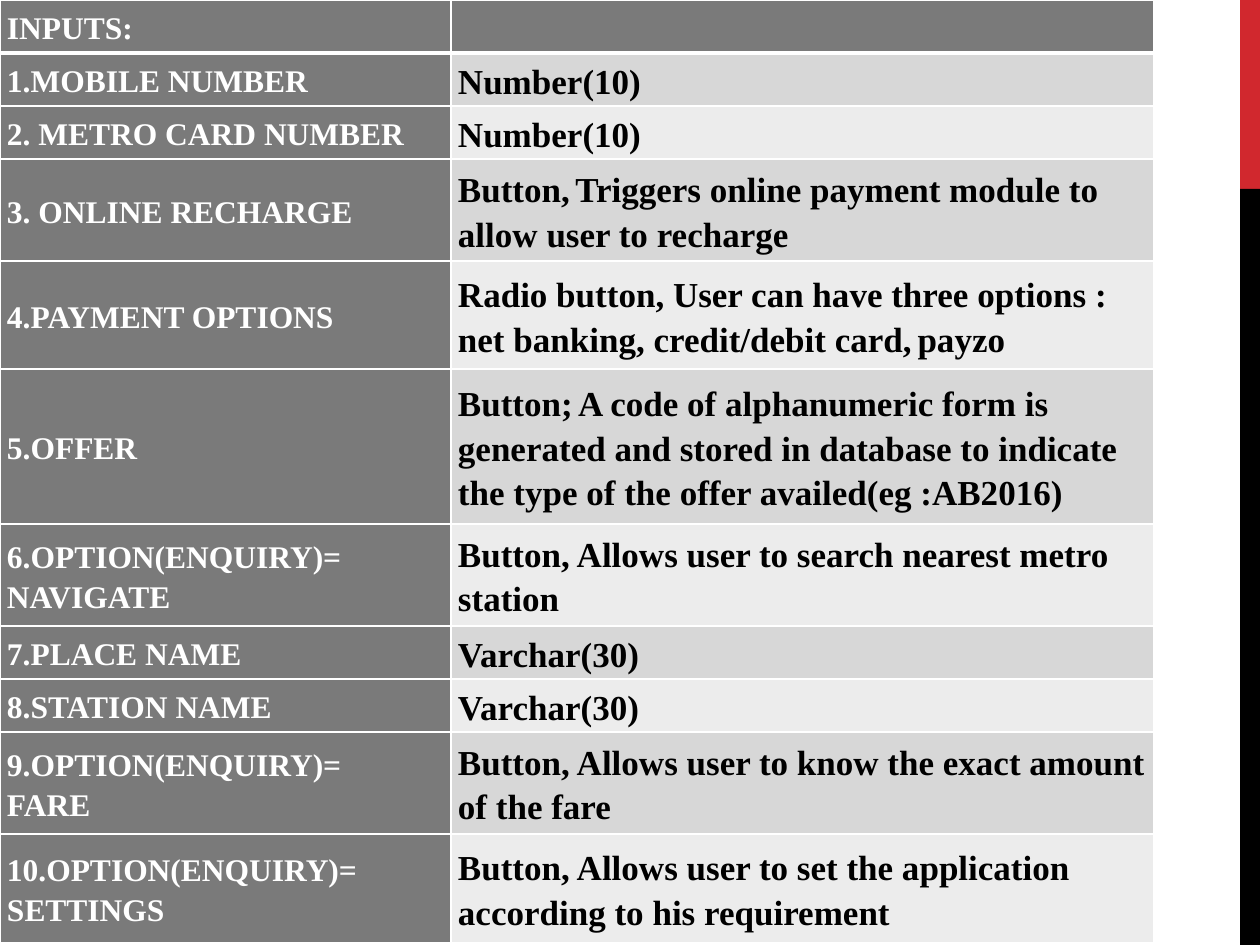
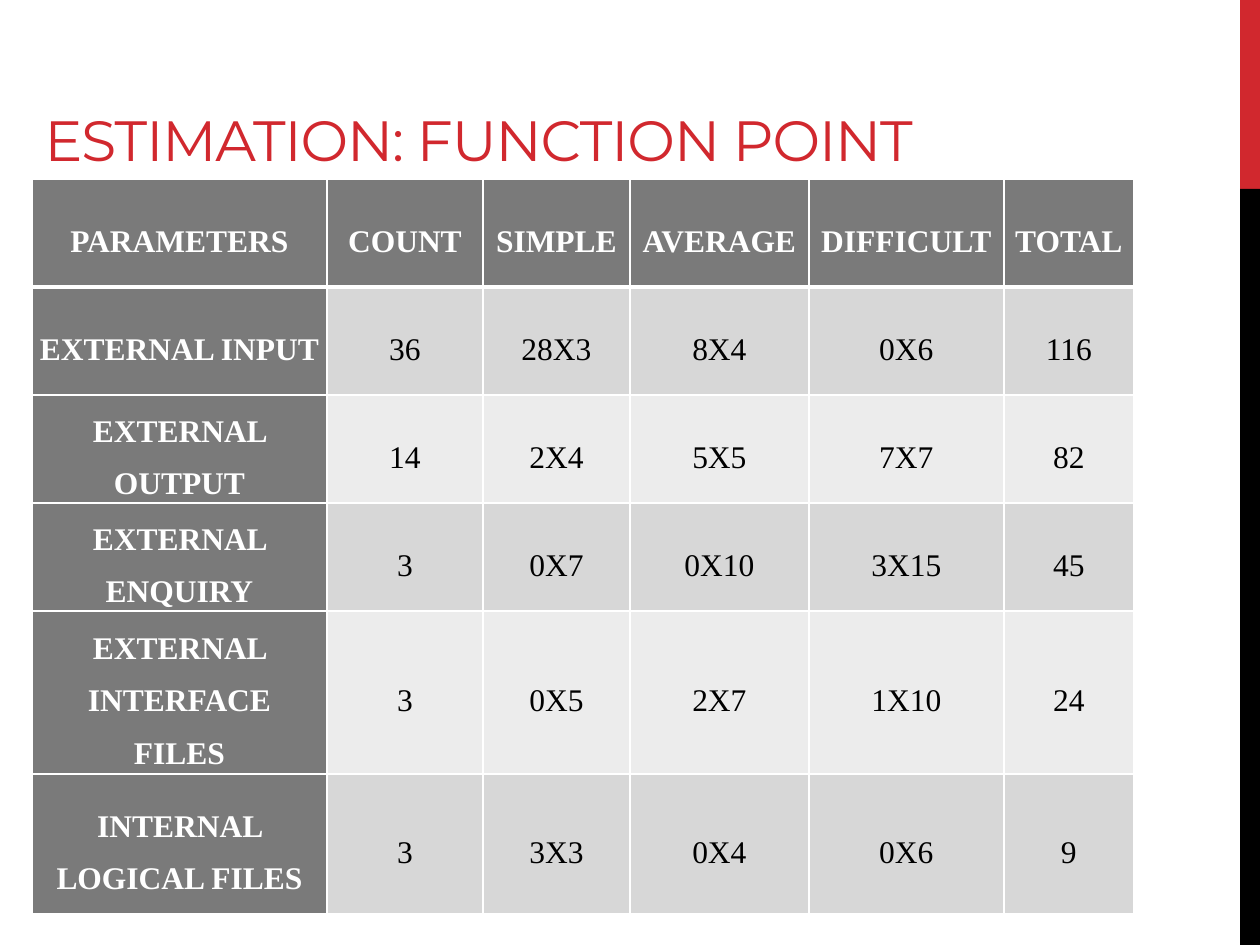
from dataclasses import dataclass

import lxml.etree
import pptx
import pptx.dml.color
import pptx.enum.shapes
import pptx.enum.text
import pptx.oxml.ns
import pptx.util

PX = 914400 / 126
SLIDE_WIDTH, SLIDE_HEIGHT = 1260, 945
RED, BLACK, WHITE = "D1282E", "000000", "FFFFFF"
HEADING_GREY, DARK_STRIPE, LIGHT_STRIPE = "7A7A7A", "D7D7D7", "ECECEC"
SERIF, TITLE_FONT = "Times New Roman", "Montserrat"
NARROW_SPACE = "~"
NARROW_SIZE = 12
CELL_INSET = 7
THIN, THICK = 1, 3
LEFT = pptx.enum.text.PP_ALIGN.LEFT
CENTER = pptx.enum.text.PP_ALIGN.CENTER


@dataclass(frozen=True)
class Band:
    top: int
    height: int
    color: str


@dataclass(frozen=True)
class Grid:
    left: int
    top: int
    columns: list[int]
    heights: list[int]
    rows: list[tuple[str, ...]]
    body_size: float
    body_bold: bool
    align: pptx.enum.text.PP_ALIGN
    line_spacing: float
    space_after: float


SIDE_BANDS = [Band(0, 189, RED), Band(189, 756, BLACK)]
BAND_LEFT = 1240

INPUTS = Grid(
    left=0,
    top=0,
    columns=[451, 703],
    heights=[53, 53, 53, 102, 108, 155, 102, 53, 53, 102, 109],
    rows=[
        ("INPUTS:", ""),
        ("1.MOBILE NUMBER", "Number(10)"),
        ("2. METRO CARD NUMBER", "Number(10)"),
        ("3. ONLINE RECHARGE",
         "Button,~Triggers online payment module to allow user to recharge"),
        ("4.PAYMENT OPTIONS",
         "Radio button, User can have three options :\n"
         "net banking, credit/debit card,~payzo"),
        ("5.OFFER",
         "Button;~A code of alphanumeric form is generated and stored in "
         "database to indicate the type of the offer availed(eg :AB2016)"),
        ("6.OPTION(ENQUIRY)=\nNAVIGATE",
         "Button, Allows user to search nearest metro station"),
        ("7.PLACE NAME", "Varchar(30)"),
        ("8.STATION NAME", "Varchar(30)"),
        ("9.OPTION(ENQUIRY)=\nFARE",
         "Button, Allows user to know the exact amount of the fare"),
        ("10.OPTION(ENQUIRY)=\nSETTINGS",
         "Button, Allows user to set the application according to his requirement"),
    ],
    body_size=20,
    body_bold=True,
    align=LEFT,
    line_spacing=1.15,
    space_after=0,
)

FUNCTION_POINTS = Grid(
    left=32,
    top=179,
    columns=[295, 156, 147, 179, 195, 130],
    heights=[108, 108, 108, 108, 163, 140],
    rows=[
        ("PARAMETERS", "COUNT", "SIMPLE", "AVERAGE", "DIFFICULT", "TOTAL"),
        ("EXTERNAL INPUT", "36", "28X3", "8X4", "0X6", "116"),
        ("EXTERNAL OUTPUT", "14", "2X4", "5X5", "7X7", "82"),
        ("EXTERNAL ENQUIRY", "3", "0X7", "0X10", "3X15", "45"),
        ("EXTERNAL INTERFACE FILES", "3", "0X5", "2X7", "1X10", "24"),
        ("INTERNAL LOGICAL FILES", "3", "3X3", "0X4", "0X6", "9"),
    ],
    body_size=18,
    body_bold=False,
    align=CENTER,
    line_spacing=1.5,
    space_after=6,
)


def px(length: int) -> pptx.util.Emu:
    return pptx.util.Emu(round(length * PX))


def rgb(color: str) -> pptx.dml.color.RGBColor:
    return pptx.dml.color.RGBColor.from_string(color)


def write_text(frame, text: str, *, size: float, color: str, font: str = SERIF,
               bold: bool = False, align=LEFT, line_spacing: float = 1.0,
               space_after: float = 0, tracking: int = 0) -> None:
    for index, line in enumerate(text.split("\n")):
        paragraph = frame.add_paragraph() if index else frame.paragraphs[0]
        paragraph.alignment = align
        paragraph.line_spacing = line_spacing
        paragraph.space_before = pptx.util.Pt(0)
        paragraph.space_after = pptx.util.Pt(space_after)
        before, gap, after = line.partition(NARROW_SPACE)
        for wording, points in ((before, size), (gap and " ", NARROW_SIZE), (after, size)):
            if not wording:
                continue
            run = paragraph.add_run()
            run.text = wording
            run.font.name = font
            run.font.size = pptx.util.Pt(points)
            run.font.bold = bold
            run.font.color.rgb = rgb(color)
            if tracking:
                run.font._element.set("spc", str(tracking))


def add_border(cell, side: str, width: float) -> None:
    qn = pptx.oxml.ns.qn
    properties = cell._tc.get_or_add_tcPr()
    line = lxml.etree.SubElement(properties, qn(f"a:ln{side}"), w=str(pptx.util.Pt(width)))
    fill = lxml.etree.SubElement(line, qn("a:solidFill"))
    lxml.etree.SubElement(fill, qn("a:srgbClr"), val=WHITE)


def format_cell(cell, grid: Grid, row: int, column: int) -> None:
    heading = row == 0 or column == 0
    stripe = DARK_STRIPE if row % 2 else LIGHT_STRIPE
    for side in "LRTB":
        under_header = (row, side) in ((0, "B"), (1, "T"))
        add_border(cell, side, THICK if under_header else THIN)
    cell.fill.solid()
    cell.fill.fore_color.rgb = rgb(HEADING_GREY if heading else stripe)
    cell.vertical_anchor = pptx.enum.text.MSO_ANCHOR.MIDDLE
    cell.margin_left = cell.margin_right = px(CELL_INSET)
    cell.margin_top = cell.margin_bottom = 0
    write_text(
        cell.text_frame, grid.rows[row][column],
        size=18 if heading else grid.body_size,
        color=WHITE if heading else BLACK,
        bold=heading or grid.body_bold,
        align=grid.align,
        line_spacing=grid.line_spacing,
        space_after=grid.space_after,
    )


def add_grid(slide, grid: Grid) -> None:
    table = slide.shapes.add_table(
        len(grid.heights), len(grid.columns), px(grid.left), px(grid.top),
        px(sum(grid.columns)), px(sum(grid.heights)),
    ).table
    table.horz_banding = False
    for column, width in enumerate(grid.columns):
        table.columns[column].width = px(width)
    for row, height in enumerate(grid.heights):
        table.rows[row].height = px(height)
        for column in range(len(grid.columns)):
            format_cell(table.cell(row, column), grid, row, column)


def add_side_bands(slide) -> None:
    for band in SIDE_BANDS:
        stripe = slide.shapes.add_shape(
            pptx.enum.shapes.MSO_SHAPE.RECTANGLE, px(BAND_LEFT), px(band.top),
            px(SLIDE_WIDTH - BAND_LEFT), px(band.height),
        )
        stripe.shadow.inherit = False
        stripe.fill.solid()
        stripe.fill.fore_color.rgb = rgb(band.color)
        stripe.line.fill.background()


def set_title(slide, text: str) -> None:
    title = slide.shapes.title
    title.left, title.top, title.width, title.height = map(px, (32, 21, 1050, 158))
    frame = title.text_frame
    frame.word_wrap = True
    frame.auto_size = pptx.enum.text.MSO_AUTO_SIZE.NONE
    frame.vertical_anchor = pptx.enum.text.MSO_ANCHOR.BOTTOM
    write_text(frame, text, size=32.4, color=RED, font=TITLE_FONT, tracking=-60)


def main() -> None:
    deck = pptx.Presentation()
    deck.slide_width, deck.slide_height = px(SLIDE_WIDTH), px(SLIDE_HEIGHT)
    title_only, blank = deck.slide_layouts[5], deck.slide_layouts[6]

    inputs_slide = deck.slides.add_slide(blank)
    add_side_bands(inputs_slide)
    add_grid(inputs_slide, INPUTS)

    estimation_slide = deck.slides.add_slide(title_only)
    add_side_bands(estimation_slide)
    set_title(estimation_slide, "ESTIMATION: FUNCTION POINT")
    add_grid(estimation_slide, FUNCTION_POINTS)

    deck.save("out.pptx")


if __name__ == "__main__":
    main()
